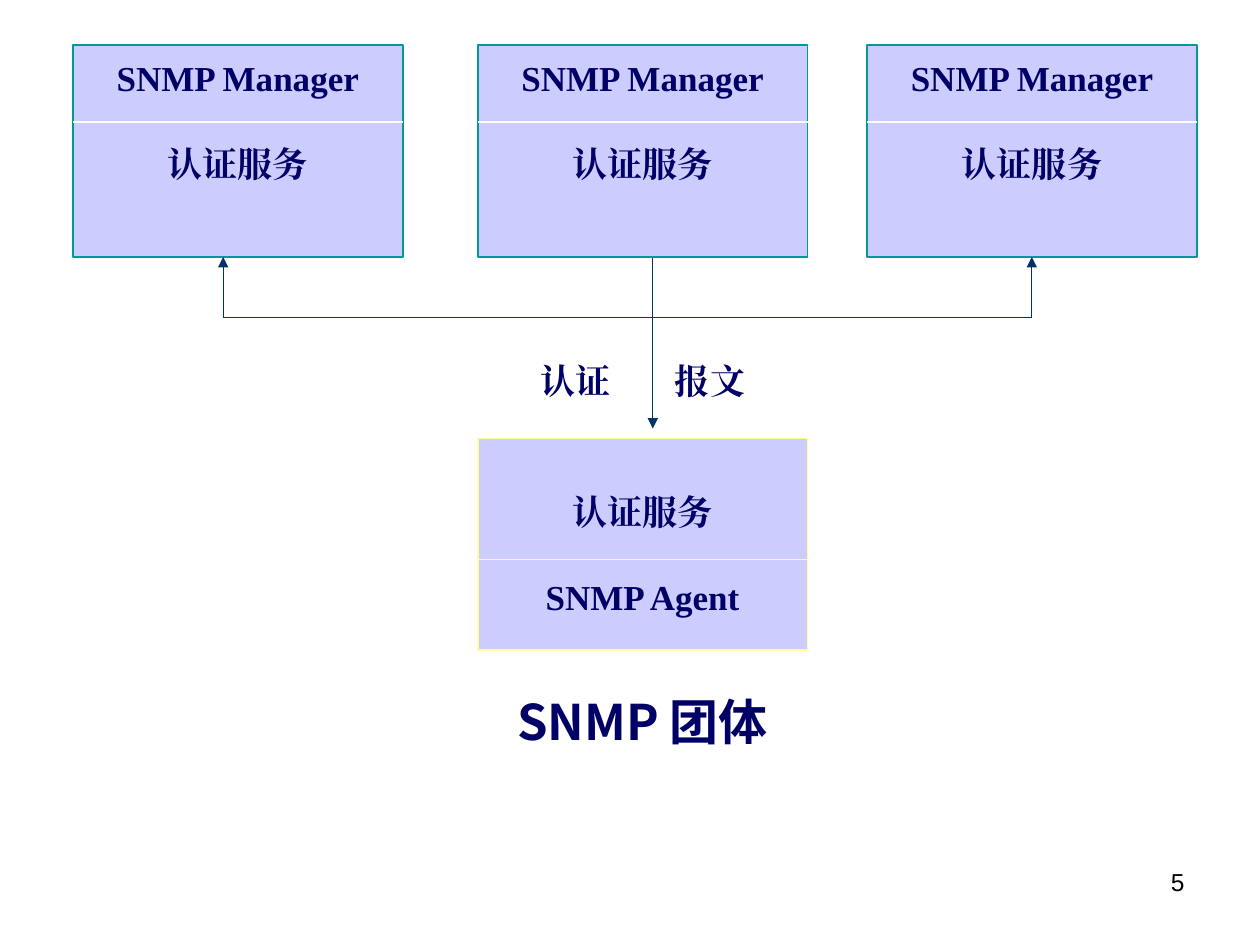
from lxml import etree
from pptx import Presentation
from pptx import util as u
from pptx.dml.color import RGBColor
from pptx.enum import shapes, text
from pptx.oxml.ns import qn

NAVY = RGBColor(0x00, 0x00, 0x66)
LAVENDER = RGBColor(0xCC, 0xCC, 0xFF)
TEAL = RGBColor(0x00, 0x99, 0x99)
WHITE = RGBColor(0xFF, 0xFF, 0xFF)
YELLOW = RGBColor(0xFF, 0xFF, 0x99)
ARROW = RGBColor(0x00, 0x33, 0x66)
BLACK = RGBColor(0x00, 0x00, 0x00)
SERIF = "Times New Roman"
SANS = "Noto Sans CJK SC"
BOX_W, BOX_H = 6.65, 4.27
BOX_LEFTS = (1.47, 9.63, 17.48)
BOX_TOP = 0.91
CENTER_LEFT = BOX_LEFTS[1]
BUS_LEFT, BUS_RIGHT, BUS_Y = 4.5, 20.8, 6.4
TRUNK_X = 13.16


def add_run(p, words, font=SERIF, size=20, color=NAVY, bold=True):
    r = p.add_run()
    r.text = words
    r.font.name = font
    r.font.size = u.Pt(size)
    r.font.bold = bold
    r.font.color.rgb = color
    etree.SubElement(r.font._element, qn("a:ea"), typeface=font)


def fill_text(sp, lines, top=0.23, gap=0, align=text.PP_ALIGN.CENTER, **style):
    tf = sp.text_frame
    tf.word_wrap = True
    tf.vertical_anchor = text.MSO_ANCHOR.TOP
    tf.margin_left = tf.margin_right = u.Cm(0.25)
    tf.margin_top, tf.margin_bottom = u.Cm(top), u.Cm(0.13)
    for i, words in enumerate(lines):
        p = tf.paragraphs[0] if i == 0 else tf.add_paragraph()
        p.alignment = align
        if i:
            p.space_before = u.Pt(gap)
        add_run(p, words, **style)


def add_label(s, words, x, y, w, h, **style):
    sp = s.shapes.add_textbox(u.Cm(x), u.Cm(y), u.Cm(w), u.Cm(h))
    fill_text(sp, [words], **style)


def add_line(s, x1, y1, x2, y2, color=ARROW, width=0.75, arrow=False):
    c = s.shapes.add_connector(
        shapes.MSO_CONNECTOR.STRAIGHT, u.Cm(x1), u.Cm(y1), u.Cm(x2), u.Cm(y2))
    c.line.color.rgb = color
    c.line.width = u.Pt(width)
    if arrow:
        etree.SubElement(c.line._get_or_add_ln(), qn("a:tailEnd"), type="triangle")
    etree.SubElement(c._element.spPr, qn("a:effectLst"))


def add_entity(s, x, y, lines, border, divider, split, top):
    sp = s.shapes.add_shape(
        shapes.MSO_SHAPE.RECTANGLE, u.Cm(x), u.Cm(y), u.Cm(BOX_W), u.Cm(BOX_H))
    sp.shadow.inherit = False
    sp.fill.solid()
    sp.fill.fore_color.rgb = LAVENDER
    sp.line.color.rgb = border
    sp.line.width = u.Pt(1)
    fill_text(sp, lines, top=top, gap=25)
    add_line(s, x, y + split, x + BOX_W, y + split, divider, 1)


def main():
    prs = Presentation()
    prs.slide_width, prs.slide_height = u.Cm(25.4), u.Cm(19.05)
    s = prs.slides.add_slide(prs.slide_layouts[6])

    add_line(s, TRUNK_X, 4.98, TRUNK_X, 8.64, arrow=True)
    for x in BOX_LEFTS:
        add_entity(s, x, BOX_TOP, ["SNMP Manager", "认证服务"],
                   TEAL, WHITE, split=1.55, top=0.23)
    add_line(s, BUS_LEFT, BUS_Y, BUS_RIGHT, BUS_Y)
    for x in (BUS_LEFT, BUS_RIGHT):
        add_line(s, x, BUS_Y, x, BOX_TOP + BOX_H, arrow=True)

    add_entity(s, CENTER_LEFT, 8.84, ["认证服务", "SNMP Agent"],
               YELLOW, YELLOW, split=2.44, top=1.04)
    for words, x in (("认证", 10.54), ("报文", 13.26)):
        add_label(s, words, x, 7.01, 2.11, 1.83)
    add_label(s, "SNMP 团体", 9.93, 13.72, 6.05, 1.83, font=SANS, size=28)
    add_label(s, "5", 18.21, 17.35, 5.92, 1.32, top=0.13,
              align=text.PP_ALIGN.RIGHT, font="Arial", size=14,
              color=BLACK, bold=False)
    prs.save("out.pptx")


if __name__ == "__main__":
    main()
